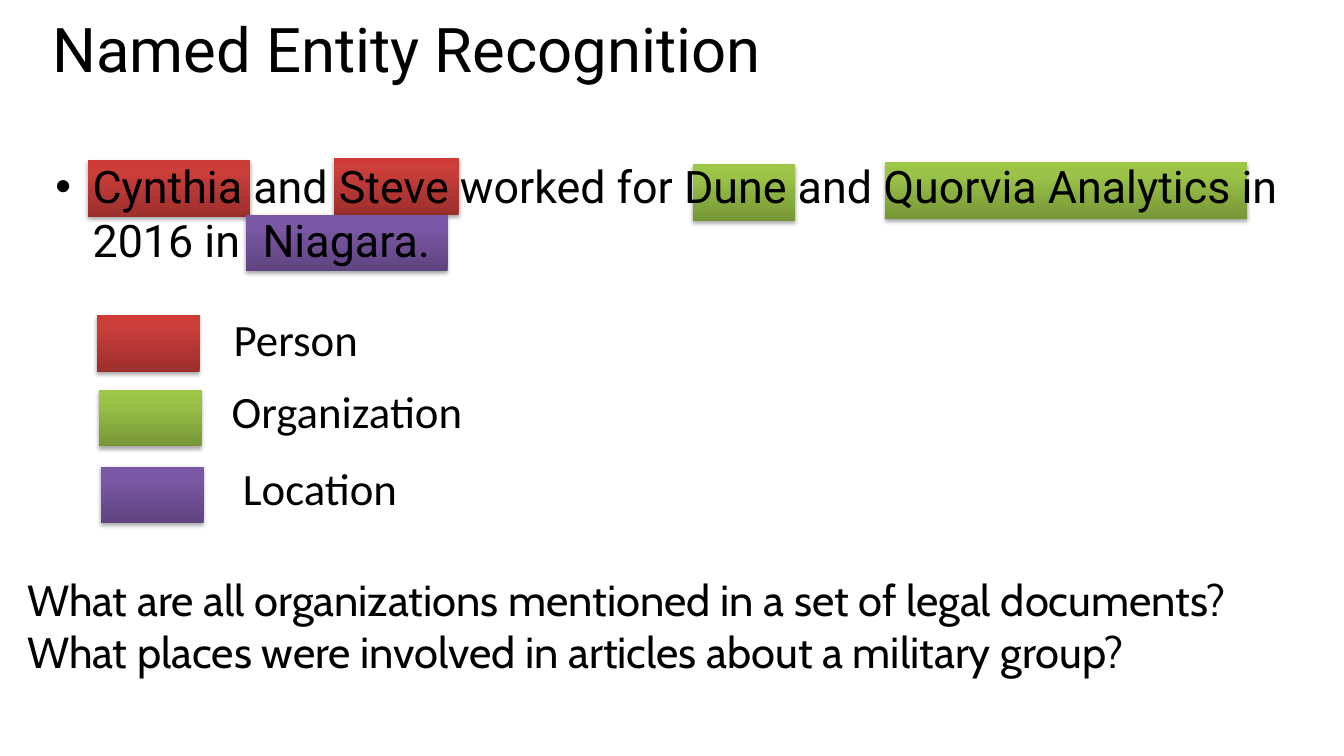
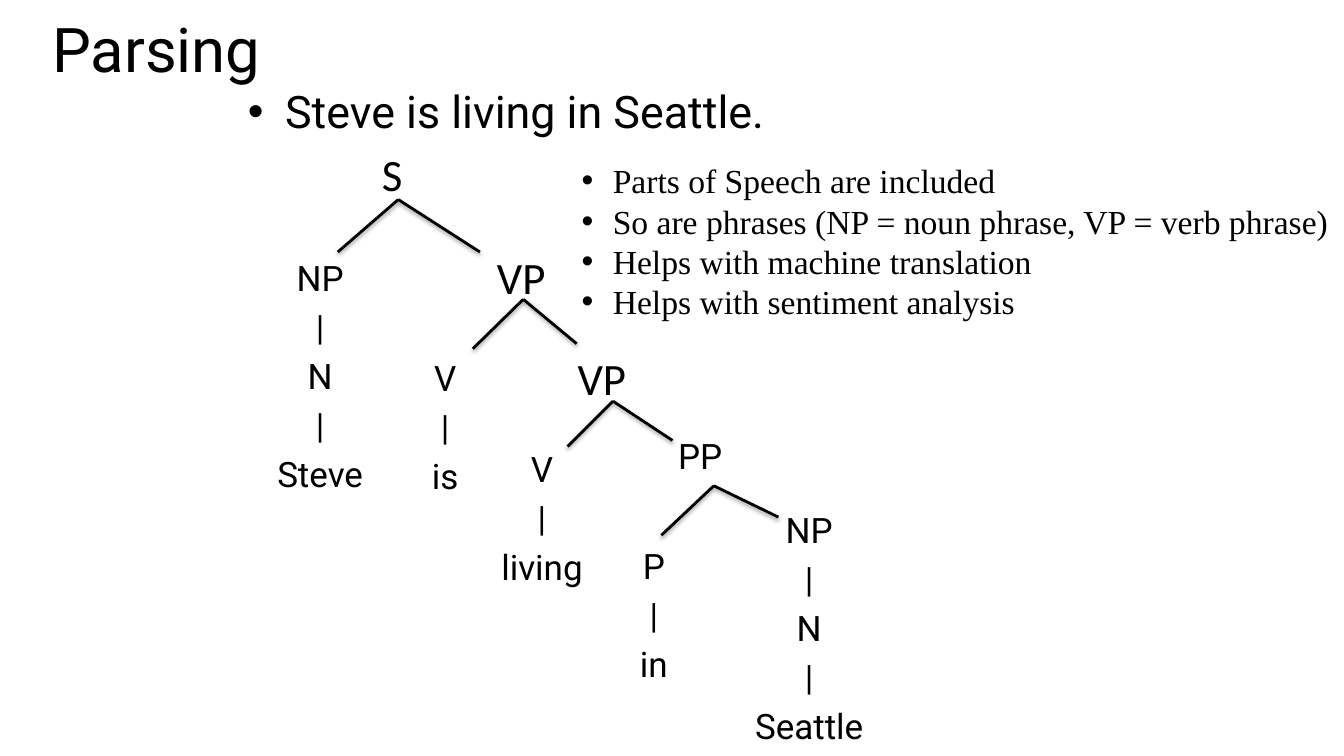
from copy import deepcopy

from pptx import Presentation
from pptx.dml.color import RGBColor
from pptx.enum.shapes import MSO_CONNECTOR as Connector, MSO_SHAPE as Shape
from pptx.enum.text import PP_ALIGN as Align
from pptx.oxml import parse_xml
from pptx.oxml.ns import nsdecls, qn
from pptx.oxml.xmlchemy import OxmlElement
from pptx.util import Inches, Pt

BLACK = RGBColor(0x00, 0x00, 0x00)
# Gradient colours from the bottom edge to the top edge
RED = (RGBColor(0x9C, 0x2F, 0x2D), RGBColor(0xCB, 0x3E, 0x3A), RGBColor(0xCE, 0x3B, 0x37))
GREEN = (RGBColor(0x77, 0x97, 0x37), RGBColor(0x9B, 0xC3, 0x48), RGBColor(0x9D, 0xC7, 0x46))
PURPLE = (RGBColor(0x5F, 0x44, 0x80), RGBColor(0x7B, 0x58, 0xA6), RGBColor(0x7C, 0x57, 0xA8))
STOPS = (0, 0.8, 1)

HEADING_FONT, LABEL_FONT = "Roboto", "Calibri"
QUESTION_FONT, NOTE_FONT = "Cabin", "Times New Roman"
SWATCH_WIDTH, SWATCH_HEIGHT = 1.02, 0.56

# Named entities: left, top, width, colours
HIGHLIGHTS = [
    (0.87, 1.59, 1.61, RED),
    (3.31, 1.57, 1.24, RED),
    (6.87, 1.63, 1.02, GREEN),
    (8.78, 1.61, 3.59, GREEN),
    (2.44, 2.13, 2.00, PURPLE),
]
SENTENCE = ("Cynthia and Steve worked for Dune and Quorvia Analytics in 2016 in", "Niagara.")
# Label, label left, label top, label width, swatch left, swatch top, colours
LEGEND = [
    ("Person", 2.22, 3.04, 1.46, 0.96, 3.13, RED),
    ("Organization", 2.20, 3.76, 2.54, 0.98, 3.87, GREEN),
    ("Location", 2.31, 4.52, 1.75, 1.00, 4.63, PURPLE),
]
QUESTIONS = [
    "What are all organizations mentioned in a set of legal documents?",
    "What places were involved in articles about a military group?",
]

# Parse tree: the words of each branch, left, top
BRANCHES = [
    (("NP", "N", "Steve"), 2.40, 2.61),
    (("V", "is"), 3.64, 3.60),
    (("V", "living"), 4.60, 4.50),
    (("PP",), 6.17, 4.38),
    (("P", "in"), 5.71, 5.47),
    (("NP", "N", "Seattle"), 7.25, 5.11),
]
BRANCH_WIDTH, BRANCH_PITCH = 1.55, 0.47
# Label, left, top, width
NODES = [("S", 3.69, 1.41, 0.41), ("VP", 4.83, 2.43, 0.69), ("VP", 5.63, 3.43, 0.69)]
# Apex, left child, right child
FORKS = [
    ((3.95, 1.98), (3.35, 2.50), (4.76, 2.50)),
    ((5.19, 2.97), (4.69, 3.46), (5.72, 3.41)),
    ((6.08, 3.98), (5.63, 4.43), (6.67, 4.37)),
    ((7.08, 4.82), (6.56, 5.31), (7.72, 5.13)),
]
NOTES = [
    "Parts of Speech are included",
    "So are phrases (NP = noun phrase, VP = verb phrase)",
    "Helps with machine translation",
    "Helps with sentiment analysis",
]


def add_bullet(paragraph, indent):
    properties = paragraph._p.get_or_add_pPr()
    properties.set("marL", str(Inches(indent)))
    properties.set("indent", str(-Inches(indent)))
    for tag, name, value in (("a:buFont", "typeface", "Arial"), ("a:buChar", "char", "•")):
        element = OxmlElement(tag)
        element.set(name, value)
        properties.append(element)


def add_text(slide, lines, left, top, width, height, *, font=HEADING_FONT, size=32,
             align=Align.LEFT, spacing=None, before=0, bullet=None, wrap=True):
    box = slide.shapes.add_textbox(Inches(left), Inches(top), Inches(width), Inches(height))
    frame = box.text_frame
    frame.word_wrap = wrap
    for index, line in enumerate(lines):
        paragraph = frame.paragraphs[0] if index == 0 else frame.add_paragraph()
        paragraph.alignment = align
        paragraph.space_before = Pt(before)
        if spacing:
            paragraph.line_spacing = spacing
        if bullet:
            add_bullet(paragraph, bullet)
        run = paragraph.add_run()
        run.text = line
        style_run(run, font, size)
    return box


def style_run(run, font, size):
    run.font.name, run.font.size = font, Pt(size)
    run.font.color.rgb = BLACK


def add_shadow(shape, opacity, distance):
    shape._element.spPr.append(parse_xml(
        f'<a:effectLst {nsdecls("a")}><a:outerShdw blurRad="{Pt(3.1)}" dist="{Pt(distance)}" '
        f'dir="5400000" rotWithShape="0"><a:srgbClr val="{BLACK}">'
        f'<a:alpha val="{opacity * 1000}"/></a:srgbClr></a:outerShdw></a:effectLst>'))


def add_swatch(slide, left, top, width, colours):
    swatch = slide.shapes.add_shape(Shape.RECTANGLE, Inches(left), Inches(top),
                                    Inches(width), Inches(SWATCH_HEIGHT))
    swatch.fill.gradient()
    swatch.fill.gradient_angle = 90
    stop_list = swatch._element.spPr.find(".//" + qn("a:gsLst"))
    stop_list.append(deepcopy(stop_list[-1]))
    for stop, position, colour in zip(swatch.fill.gradient_stops, STOPS, colours):
        stop.position, stop.color.rgb = position, colour
    swatch.line.fill.background()
    add_shadow(swatch, 35, 1.8)


def add_edge(slide, start, end):
    edge = slide.shapes.add_connector(Connector.STRAIGHT, *map(Inches, start + end))
    edge.line.color.rgb, edge.line.width = BLACK, Pt(2)
    add_shadow(edge, 38, 1.6)


def add_titled_slide(presentation, title):
    slide = presentation.slides.add_slide(presentation.slide_layouts[6])
    add_text(slide, [title], 0.42, 0.2, 12.6, 1.16, size=44, spacing=0.8)
    return slide


def build_entities(presentation):
    slide = add_titled_slide(presentation, "Named Entity Recognition")
    # Highlighted sentence
    for highlight in HIGHLIGHTS:
        add_swatch(slide, *highlight)
    opening, place = SENTENCE
    box = add_text(slide, [opening], 0.45, 1.53, 12.6, 1.3, before=14, bullet=0.37)
    paragraph = box.text_frame.paragraphs[0]
    for text, tracking in ((" ", 8), (place, 0)):  # wider gap before the place
        run = paragraph.add_run()
        run.text = text
        style_run(run, HEADING_FONT, 32)
        run._r.get_or_add_rPr().set("spc", str(tracking * 100))
    # Legend
    for label, left, top, width, swatch_left, swatch_top, colours in LEGEND:
        add_swatch(slide, swatch_left, swatch_top, SWATCH_WIDTH, colours)
        add_text(slide, [label], left, top, width, 0.64, font=LABEL_FONT, wrap=False)
    # Questions
    add_text(slide, QUESTIONS, 0.17, 5.64, 13.16, 1.14, font=QUESTION_FONT, size=31)


def build_parsing(presentation):
    slide = add_titled_slide(presentation, "Parsing")
    add_text(slide, ["Steve is living in Seattle."], 2.36, 0.78, 5.6, 0.78,
             before=14, bullet=0.37)
    # Tree
    for words, left, top in BRANCHES:
        lines = " | ".join(words).split()
        add_text(slide, lines, left, top, BRANCH_WIDTH, BRANCH_PITCH * len(lines),
                 size=25, align=Align.CENTER, spacing=0.7, before=14)
    for apex, *children in FORKS:
        for child in children:
            add_edge(slide, apex, child)
    for label, left, top, width in NODES:
        add_text(slide, [label], left, top, width, 0.64, font=LABEL_FONT, wrap=False)
    # Notes
    add_text(slide, NOTES, 5.67, 1.54, 7.66, 1.72, font=NOTE_FONT, size=24,
             bullet=0.31, wrap=False)


def main():
    presentation = Presentation()
    presentation.slide_width, presentation.slide_height = Inches(13.33), Inches(7.5)
    build_entities(presentation)
    build_parsing(presentation)
    presentation.save("out.pptx")


if __name__ == "__main__":
    main()
